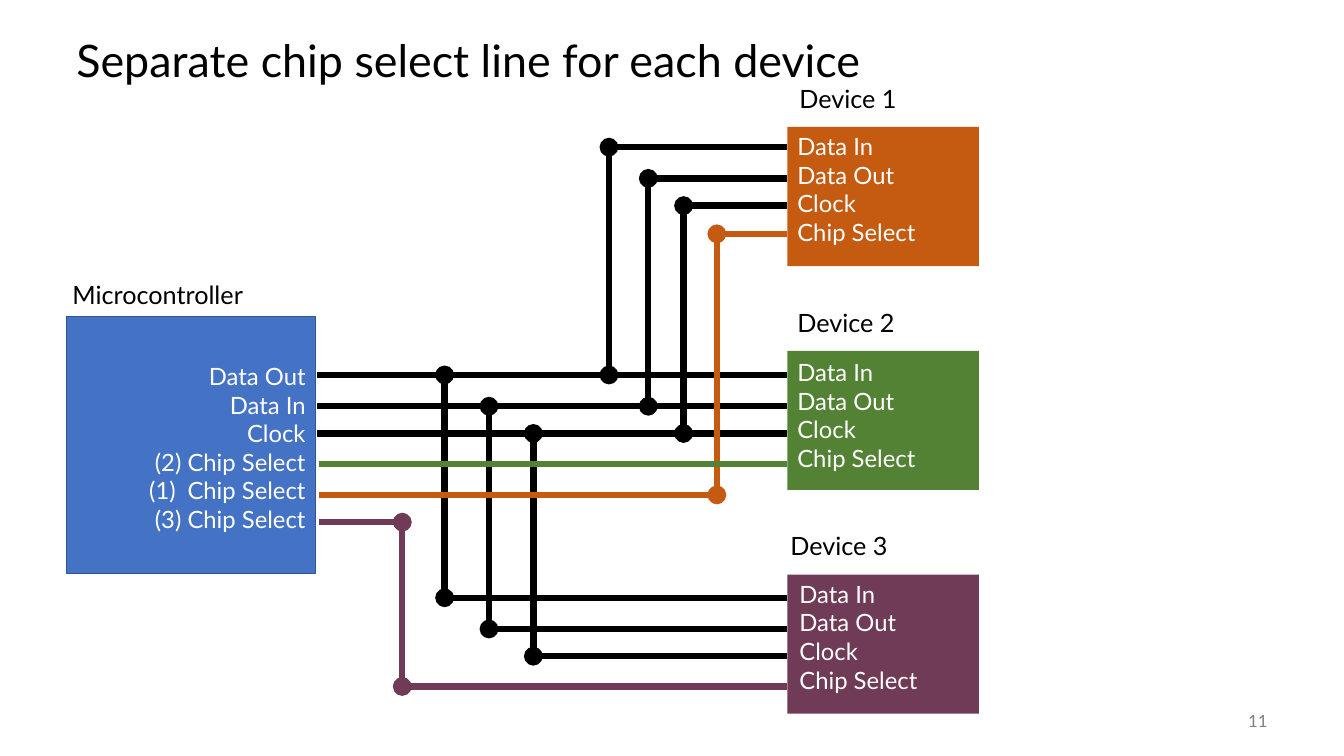
from pptx import Presentation
from pptx.dml.color import RGBColor
from pptx.enum.shapes import MSO_CONNECTOR, MSO_SHAPE
from pptx.enum.text import MSO_ANCHOR, PP_ALIGN
from pptx.oxml.ns import qn
from pptx.util import Inches, Pt
from lxml import etree

STRAIGHT = MSO_CONNECTOR.STRAIGHT
RECTANGLE = MSO_SHAPE.RECTANGLE
LEFT, RIGHT = PP_ALIGN.LEFT, PP_ALIGN.RIGHT
TOP, MIDDLE = MSO_ANCHOR.TOP, MSO_ANCHOR.MIDDLE

# Content
TITLE = "Separate chip select line for each device"
PAGE_NUMBER = "11"
CONTROLLER = "Microcontroller"
NUMBERED_PIN = 4  # this pin takes its "(1)" from automatic numbering
CONTROLLER_PINS = ["Data Out", "Data In", "Clock",
                   "(2) Chip Select", "Chip Select", "(3) Chip Select"]
DEVICE_PINS = ["Data In", "Data Out", "Clock", "Chip Select"]

# Each device: box top, label and pin text positions, x of the bus taps,
# and its select wire as (y at controller, x of the riser, y at device)
DEVICES = [
    dict(name="Device 1", color="C55A11", top=1.26, label=(7.83, 0.78),
         pins=(7.81, 1.26), shift=-2.26, taps=(6.04, 6.43, 6.78),
         select=(4.91, 7.11, 2.32)),
    dict(name="Device 2", color="548235", top=3.48, label=(7.81, 3.0),
         pins=(7.81, 3.5), shift=0, taps=(),
         select=(4.6, None, 4.6)),
    dict(name="Device 3", color="703B56", top=5.7, label=(7.74, 5.21),
         pins=(7.83, 5.7), shift=2.21, taps=(4.41, 4.85, 5.29),
         select=(5.18, 3.99, 6.81)),
]
BUS_ROWS = (3.72, 4.03, 4.3)
BUS_LEFT, SELECT_LEFT, DEVICE_LEFT = 3.14, 3.16, 7.81
DEVICE_SIZE = (1.9, 1.38)

THEME = dict(font="Lato", text="000000", pin_text="FFFFFF", page="808080",
             controller="4472C4", controller_line="325491", bus="000000",
             title_size=32, label_size=18, pin_size=17, page_size=12, wire=4.5)


def add_text(page, at, lines, size, color, align=LEFT, anchor=TOP):
    box = page.shapes.add_textbox(*map(Inches, at))
    frame = box.text_frame
    frame.word_wrap = True
    frame.vertical_anchor = anchor
    for index, line in enumerate(lines):
        para = frame.paragraphs[0] if index == 0 else frame.add_paragraph()
        para.text = line
        para.alignment = align
        para.font.name = THEME["font"]
        para.font.size = Pt(size)
        para.font.color.rgb = RGBColor.from_string(color)
    return frame


def number_paragraph(para):
    properties = para._p.get_or_add_pPr()
    properties.set("marL", str(Inches(0.38)))
    properties.set("indent", str(-Inches(0.38)))
    bullet = etree.Element(qn("a:buAutoNum"), type="arabicParenBoth")
    properties.insert(0, bullet)


def add_block(page, at, fill, outline=None):
    block = page.shapes.add_shape(RECTANGLE, *map(Inches, at))
    block.shadow.inherit = False
    block.fill.solid()
    block.fill.fore_color.rgb = RGBColor.from_string(fill)
    if outline:
        block.line.color.rgb = RGBColor.from_string(outline)
        block.line.width = Pt(1)
    else:
        block.line.fill.background()


def add_wire(page, start, end, color, dots=False):
    wire = page.shapes.add_connector(STRAIGHT, *map(Inches, start + end))
    wire.line.color.rgb = RGBColor.from_string(color)
    wire.line.width = Pt(THEME["wire"])
    if dots:
        line = wire.line._get_or_add_ln()
        for tag in ("a:headEnd", "a:tailEnd"):
            etree.SubElement(line, qn(tag), type="oval")
    etree.SubElement(wire._element.spPr, qn("a:effectLst"))


def main():
    deck = Presentation()
    deck.slide_width, deck.slide_height = Inches(13.33), Inches(7.5)
    page = deck.slides.add_slide(deck.slide_layouts[6])

    # Title and page number
    title = add_text(page, (0.66, 0.25, 12, 0.75), [TITLE],
                     THEME["title_size"], THEME["text"], anchor=MIDDLE)
    title.paragraphs[0].line_spacing = 0.9
    add_text(page, (11.67, 6.95, 1, 0.4), [PAGE_NUMBER],
             THEME["page_size"], THEME["page"], RIGHT, MIDDLE)

    # Controller and device blocks
    add_block(page, (0.66, 3.14, 2.47, 2.55), THEME["controller"],
              THEME["controller_line"])
    for device in DEVICES:
        add_block(page, (DEVICE_LEFT, device["top"]) + DEVICE_SIZE, device["color"])

    # Shared bus, then its branches to the other devices
    for row in BUS_ROWS:
        add_wire(page, (BUS_LEFT, row), (DEVICE_LEFT, row), THEME["bus"])
    for device in DEVICES:
        for tap, row in zip(device["taps"], BUS_ROWS):
            pin = row + device["shift"]
            add_wire(page, (tap, pin), (DEVICE_LEFT, pin), THEME["bus"])
            add_wire(page, (tap, row), (tap, pin), THEME["bus"], dots=True)

    # One select wire per device
    for device in DEVICES:
        row, riser, pin = device["select"]
        color = device["color"]
        add_wire(page, (SELECT_LEFT, row), (riser or DEVICE_LEFT, row), color)
        if riser:
            add_wire(page, (riser, row), (riser, pin), color, dots=True)
            add_wire(page, (riser, pin), (DEVICE_LEFT, pin), color)

    # Labels and pin names
    add_text(page, (0.62, 2.72, 2.47, 0.4), [CONTROLLER],
             THEME["label_size"], THEME["text"])
    pins = add_text(page, (0.86, 3.54, 2.27, 1.82), CONTROLLER_PINS,
                    THEME["pin_size"], THEME["pin_text"], RIGHT)
    number_paragraph(pins.paragraphs[NUMBERED_PIN])
    for device in DEVICES:
        add_text(page, device["label"] + (1.9, 0.4), [device["name"]],
                 THEME["label_size"], THEME["text"])
        add_text(page, device["pins"] + (1.9, 1.25), DEVICE_PINS,
                 THEME["pin_size"], THEME["pin_text"])

    deck.save("out.pptx")


if __name__ == "__main__":
    main()
